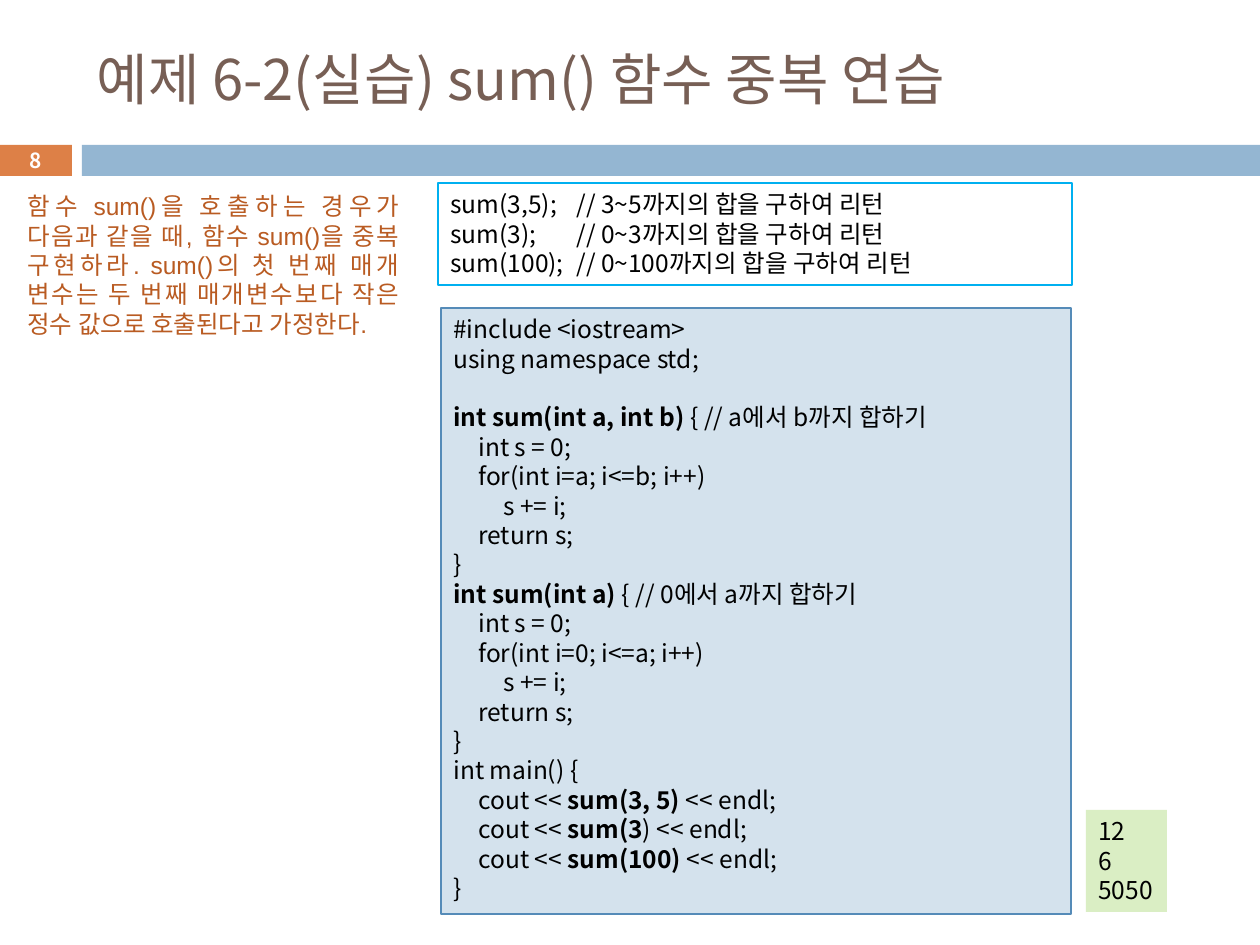
from dataclasses import dataclass

from lxml import etree
from pptx import Presentation
from pptx.dml.color import RGBColor
from pptx.enum.shapes import MSO_SHAPE
from pptx.enum.text import MSO_ANCHOR, PP_ALIGN
from pptx.oxml.ns import qn
from pptx.util import Emu, Pt

RECT = MSO_SHAPE.RECTANGLE
TOP, MIDDLE = MSO_ANCHOR.TOP, MSO_ANCHOR.MIDDLE
LEFT, CENTER, JUSTIFY = PP_ALIGN.LEFT, PP_ALIGN.CENTER, PP_ALIGN.JUSTIFY


@dataclass(frozen=True)
class Theme:
    """Colours, fonts and type sizes of the slide."""
    brown: str = "775F55"
    orange: str = "DD8047"
    rust: str = "B95B22"
    blue: str = "94B6D2"
    pale: str = "D4E2ED"
    steel: str = "558BB8"
    cyan: str = "00B0F0"
    green: str = "DAEEC4"
    black: str = "000000"
    white: str = "FFFFFF"
    sans: str = "Noto Sans CJK KR"
    prose: str = "Arial"
    head: float = 32
    body: float = 14
    small: float = 11.9
    lead: float = 16.8
    rule: float = 0.75


THEME = Theme()

TITLE = "예제 6-2(실습) sum() 함수 중복 연습"
TASK = ("함수 sum()을 호출하는 경우가 다음과 같을 때, 함수 sum()을 중복 구현하라. "
        "sum()의 첫 번째 매개 변수는 두 번째 매개변수보다 작은 정수 값으로 호출된다고 가정한다.")
CALLS = """sum(3,5); \t// 3~5까지의 합을 구하여 리턴
sum(3); \t// 0~3까지의 합을 구하여 리턴
sum(100); \t// 0~100까지의 합을 구하여 리턴"""
CODE = """#include <iostream>
using namespace std;

*int sum(int a, int b) *{ // a에서 b까지 합하기
\tint s = 0;
\tfor(int i=a; i<=b; i++)
\t\ts += i;
\treturn s;
}
*int sum(int a) *{ // 0에서 a까지 합하기
\tint s = 0;
\tfor(int i=0; i<=a; i++)
\t\ts += i;
\treturn s;
}
int main() {
\tcout << *sum(3, 5) *<< endl;
\tcout << *sum(3*) << endl;
\tcout << *sum(100) *<< endl;
}"""
OUTPUT = "12\n6\n5050"


def px(num):
    """Turn px into EMU at 126 px to the inch."""
    return Emu(round(num * 914400 / 126))


def add_run(para, text, size, tint, font=THEME.sans, bold=False):
    """Add one run with its Latin and East Asian fonts."""
    run = para.add_run()
    run.text = text
    run.font.size = Pt(size)
    run.font.bold = bold
    run.font.name = font
    run.font.color.rgb = RGBColor.from_string(tint)
    asian = etree.SubElement(run._r.get_or_add_rPr(), qn("a:ea"))
    asian.set("typeface", THEME.sans)


def set_tabs(para, stops):
    """Give a paragraph left tab stops in px."""
    tabs = etree.SubElement(para._p.get_or_add_pPr(), qn("a:tabLst"))
    for stop in stops:
        etree.SubElement(tabs, qn("a:tab"), pos=str(px(stop)), algn="l")


def write(frame, text, tint=THEME.black, font=THEME.sans, align=LEFT,
          stops=(), wrap=True):
    """Write lines of body text, with bold parts between asterisks."""
    frame.word_wrap = wrap
    frame.vertical_anchor = TOP
    for row, line in enumerate(text.split("\n")):
        para = frame.add_paragraph() if row else frame.paragraphs[0]
        para.alignment = align
        para.line_spacing = Pt(THEME.lead)
        if stops:
            set_tabs(para, stops)
        for part, piece in enumerate(line.split("*")):
            if piece:
                add_run(para, piece, THEME.body, tint, font, part % 2 == 1)


def add_box(slide, box, fill=None, line=None):
    """Add a flat rectangle and return it."""
    shape = slide.shapes.add_shape(RECT, *map(px, box))
    shape.shadow.inherit = False
    if fill:
        shape.fill.solid()
        shape.fill.fore_color.rgb = RGBColor.from_string(fill)
    else:
        shape.fill.background()
    if line:
        shape.line.color.rgb = RGBColor.from_string(line)
        shape.line.width = Pt(THEME.rule)
    else:
        shape.line.fill.background()
    return shape


def add_title(slide, box):
    """Place the slide title."""
    title = slide.shapes.title
    title.left, title.top, title.width, title.height = map(px, box)
    frame = title.text_frame
    frame.word_wrap = True
    frame.vertical_anchor = MIDDLE
    para = frame.paragraphs[0]
    para.alignment = LEFT
    add_run(para, TITLE, THEME.head, THEME.brown)


def add_band(slide, box):
    """Draw the page number tag and the bar beside it."""
    left, top, width, height = box
    tag, gap = 73, 10
    mark = add_box(slide, (left, top, tag, height), THEME.orange)
    add_box(slide, (left + tag + gap, top, width - tag - gap, height), THEME.blue)
    frame = mark.text_frame
    frame.margin_top = frame.margin_bottom = 0
    frame.vertical_anchor = MIDDLE
    para = frame.paragraphs[0]
    para.alignment = CENTER
    add_run(para, "8", THEME.small, THEME.white, bold=True)


def add_task(slide, box):
    """Place the task text."""
    frame = slide.shapes.add_textbox(*map(px, box)).text_frame
    write(frame, TASK, THEME.rust, THEME.prose, JUSTIFY)


def add_calls(slide, box):
    """Place the sample calls."""
    write(add_box(slide, box, line=THEME.cyan).text_frame, CALLS, stops=(126,))


def add_code(slide, box):
    """Place the program listing."""
    shape = add_box(slide, box, THEME.pale, THEME.steel)
    write(shape.text_frame, CODE, stops=(25, 50))


def add_output(slide, box):
    """Place the program output."""
    write(add_box(slide, box, THEME.green).text_frame, OUTPUT, wrap=False)


def main():
    """Build and save the slide."""
    deck = Presentation()
    deck.slide_width, deck.slide_height = px(1260), px(945)
    slide = deck.slides.add_slide(deck.slide_layouts[5])
    add_band(slide, (-1, 145, 1261, 31))
    add_title(slide, (84, 32, 1124, 93))
    add_calls(slide, (438, 183, 634, 102))
    add_code(slide, (441, 308, 630, 606))
    add_output(slide, (1086, 810, 81, 102))
    add_task(slide, (15, 185, 397, 190))
    deck.save("out.pptx")


if __name__ == "__main__":
    main()
